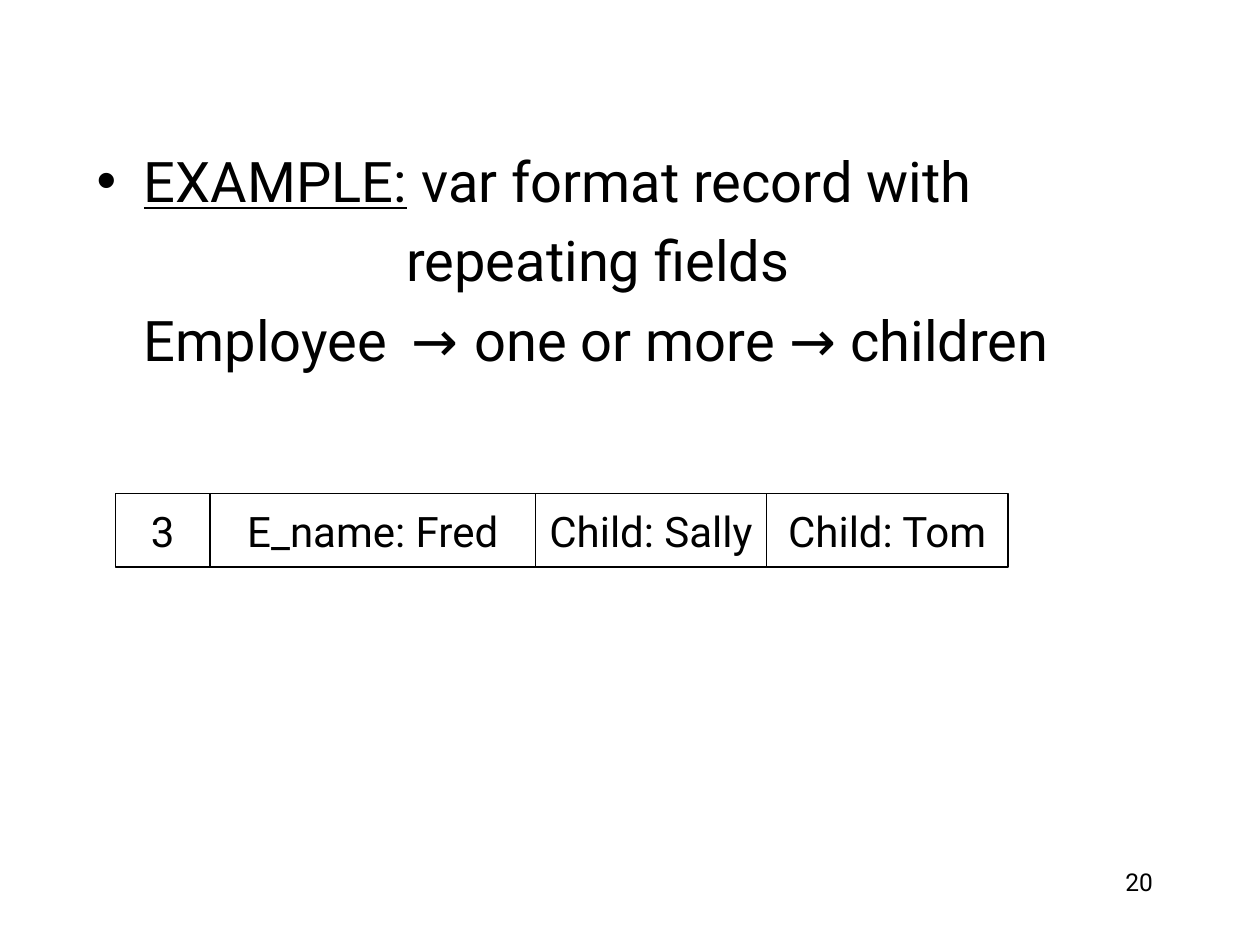
from lxml import etree
from pptx import Presentation
from pptx.dml.color import RGBColor
from pptx.enum.shapes import MSO_SHAPE
from pptx.enum.text import MSO_ANCHOR, MSO_AUTO_SIZE, PP_ALIGN
from pptx.oxml.ns import qn
from pptx.util import Pt

RECTANGLE = MSO_SHAPE.RECTANGLE
MIDDLE = MSO_ANCHOR.MIDDLE
NO_AUTOFIT = MSO_AUTO_SIZE.NONE
LEFT, CENTER, RIGHT = PP_ALIGN.LEFT, PP_ALIGN.CENTER, PP_ALIGN.RIGHT

COLORS = {"ink": "000000", "paper": "FFFFFF"}
FONT = "Roboto"
INK = RGBColor.from_string(COLORS["ink"])
PAPER = RGBColor.from_string(COLORS["paper"])


def add_text(paragraph, text, size, align=LEFT, underline=False):
    paragraph.alignment = align
    run = paragraph.add_run()
    run.text = text
    run.font.name = FONT
    run.font.size = Pt(size)
    run.font.color.rgb = INK
    run.font.underline = underline


def set_layout(paragraph, margin, indent, bullet=None, tabs=()):
    """Set the indents in points, the bullet and the tab stops."""
    properties = paragraph._p.get_or_add_pPr()
    properties.set("marL", str(Pt(margin)))
    properties.set("indent", str(Pt(indent)))
    if bullet:
        etree.SubElement(properties, qn("a:buChar"), char=bullet)
    else:
        etree.SubElement(properties, qn("a:buNone"))
    if tabs:
        tab_list = etree.SubElement(properties, qn("a:tabLst"))
        for position in tabs:
            etree.SubElement(tab_list, qn("a:tab"), pos=str(Pt(position)), algn="l")


presentation = Presentation()
presentation.slide_width, presentation.slide_height = Pt(720), Pt(540)
slide = presentation.slides.add_slide(presentation.slide_layouts[1])
title = slide.shapes.title
title.element.getparent().remove(title.element)

# Example text
body = slide.placeholders[1]
body.left, body.top, body.width, body.height = Pt(48), Pt(80), Pt(612), Pt(258)
frame = body.text_frame
frame.word_wrap = True
frame.auto_size = NO_AUTOFIT

example = frame.paragraphs[0]
set_layout(example, 27, -27, bullet="•")
example.space_before = Pt(0)
add_text(example, "EXAMPLE:", 32, underline=True)
add_text(example, " var format record with", 32)

continuation = frame.add_paragraph()
set_layout(continuation, 177, 0)
continuation.space_before = Pt(7)
add_text(continuation, "repeating fields", 32)

relation = frame.add_paragraph()
set_layout(relation, 0, 27, tabs=(182, 223, 412))
relation.space_before = Pt(7)
add_text(relation, "Employee\t→\tone or more\t→ children", 32)

# Record: one box per field
fields = [("3", 54), ("E_name: Fred", 186), ("Child: Sally", 132), ("Child: Tom", 138)]
left = 66
for label, width in fields:
    field = slide.shapes.add_shape(RECTANGLE, Pt(left), Pt(282), Pt(width), Pt(42))
    field.shadow.inherit = False
    field.fill.solid()
    field.fill.fore_color.rgb = PAPER
    field.line.color.rgb = INK
    field.line.width = Pt(0.75)
    field.text_frame.word_wrap = False
    field.text_frame.vertical_anchor = MIDDLE
    add_text(field.text_frame.paragraphs[0], label, 24, align=CENTER)
    left += width

# Page number
page_number = slide.shapes.add_textbox(Pt(516), Pt(492), Pt(150), Pt(36))
page_number.text_frame.word_wrap = True
add_text(page_number.text_frame.paragraphs[0], "20", 14, align=RIGHT)

presentation.save("out.pptx")
